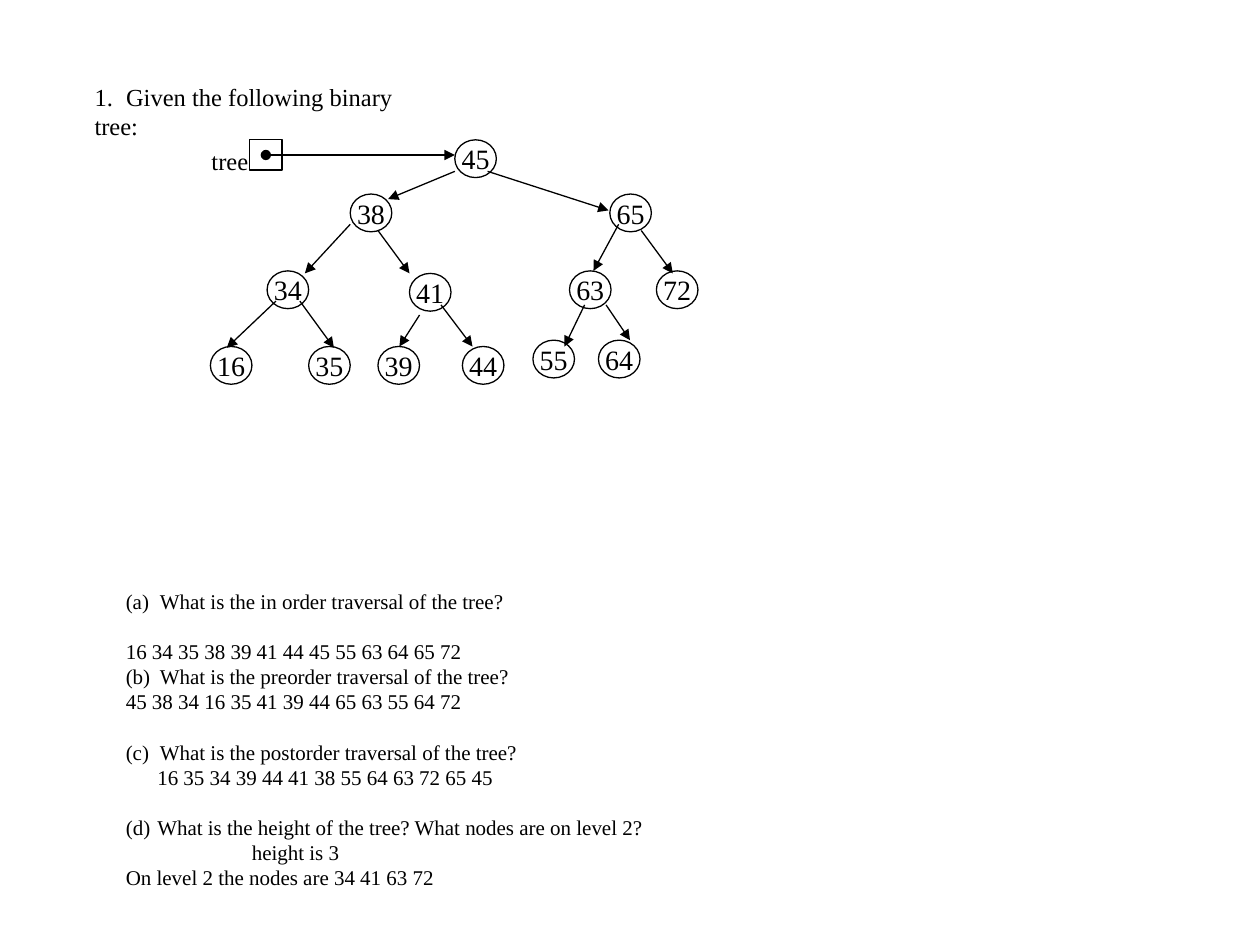
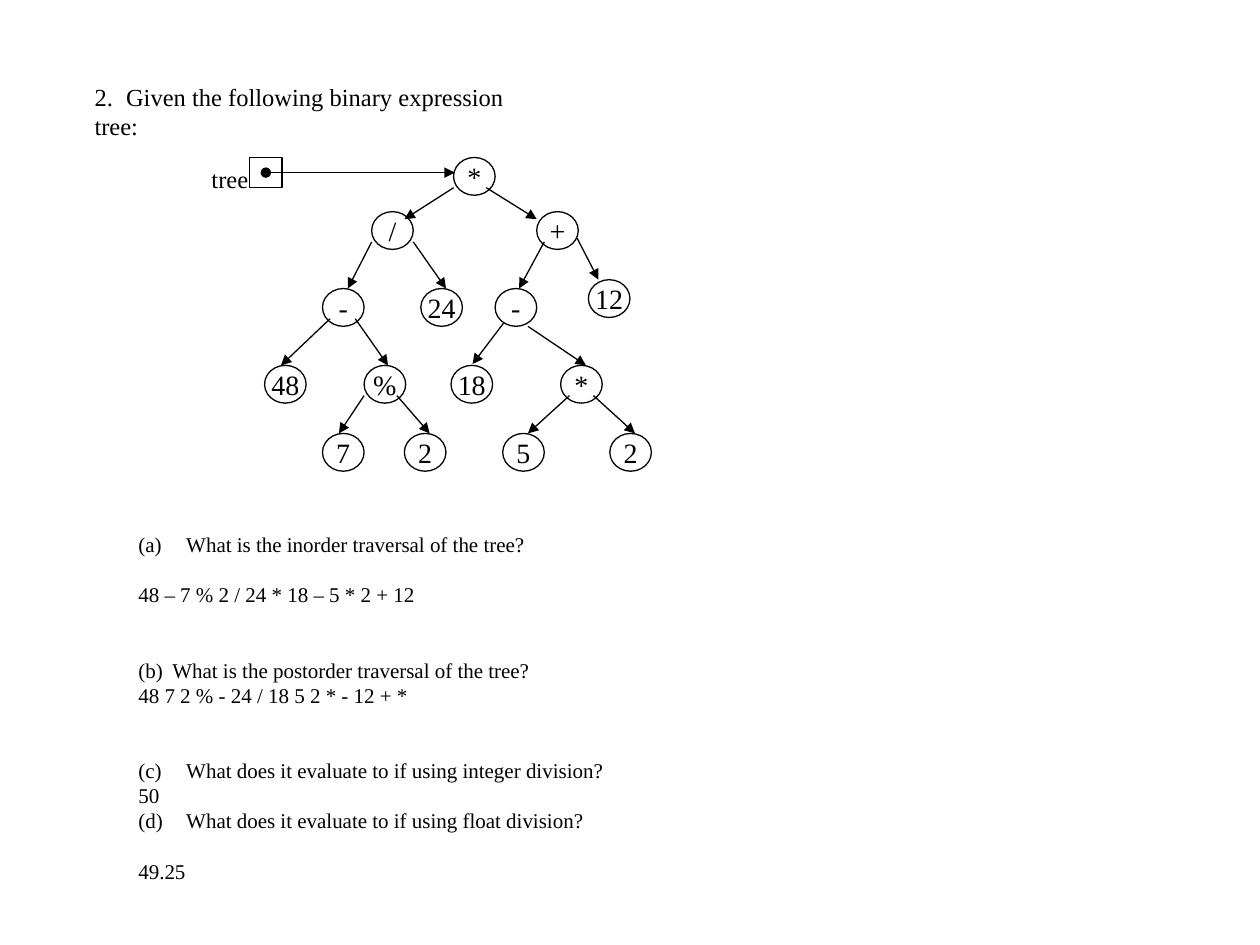
"""Build two review slides that ask questions about binary trees."""
from lxml.etree import SubElement
from pptx import Presentation
from pptx.dml.color import RGBColor
from pptx.enum.shapes import MSO_CONNECTOR, MSO_SHAPE
from pptx.enum.text import MSO_ANCHOR, MSO_AUTO_SIZE, PP_ALIGN
from pptx.oxml.ns import qn
from pptx.util import Inches, Pt

BLACK = RGBColor(0x00, 0x00, 0x00)
FONT = "Times New Roman"
TITLE_SIZE, BODY_SIZE, NODE_SIZE = 14, 12, 16
BLANK_LINE = 14.3
NODE_WIDTH, NODE_HEIGHT = 0.33, 0.3


class TreeDeck:
    """Hold the shared style and the slide being drawn."""

    def __init__(self):
        self.deck = Presentation()
        self.deck.slide_width = Inches(10)
        self.deck.slide_height = Inches(7.5)
        self.slide = None

    def place(self, shape, left, top, width, height):
        values = {"left": left, "top": top, "width": width, "height": height}
        for name, value in values.items():
            setattr(shape, name, Inches(value))

    def format_frame(self, frame, **values):
        for name, value in values.items():
            setattr(frame, name, value)

    def add_text(self, para, text, size, align=PP_ALIGN.LEFT):
        para.alignment = align
        span = para.add_run()
        span.text = text
        values = {"name": FONT, "size": Pt(size), "bold": False}
        for name, value in values.items():
            setattr(span.font, name, value)
        span.font.color.rgb = BLACK

    def add_tab(self, para, position):
        tabs = SubElement(para._p.get_or_add_pPr(), qn("a:tabLst"))
        SubElement(tabs, qn("a:tab"), pos=str(Inches(position)), algn="l")

    def set_indent(self, para, margin, hanging=0):
        properties = para._p.get_or_add_pPr()
        properties.set("marL", str(Inches(margin)))
        properties.set("indent", str(-Inches(hanging)))
        return properties

    def add_page(self, title, width):
        self.slide = self.deck.slides.add_slide(self.deck.slide_layouts[5])
        box = self.slide.shapes.title
        self.place(box, 0.65, 0.6, width, 0.33)
        self.format_frame(box.text_frame, word_wrap=True, vertical_anchor=MSO_ANCHOR.TOP,
                          auto_size=MSO_AUTO_SIZE.SHAPE_TO_FIT_TEXT)
        para = box.text_frame.paragraphs[0]
        self.add_text(para, title, TITLE_SIZE)
        self.add_tab(para, 0.25)

    def add_text_box(self, left, top, width, height, wrap):
        box = self.slide.shapes.add_textbox(
            Inches(left), Inches(top), Inches(width), Inches(height))
        self.format_frame(box.text_frame, word_wrap=wrap,
                          auto_size=MSO_AUTO_SIZE.SHAPE_TO_FIT_TEXT)
        return box.text_frame

    def add_questions(self, left, top, width, height, lines):
        frame = self.add_text_box(left, top, width, height, True)
        for index, (text, layout) in enumerate(lines):
            para = frame.add_paragraph() if index else frame.paragraphs[0]
            self.add_text(para, text, BODY_SIZE)
            para.space_before = Pt(BLANK_LINE * layout.get("blank", 0))
            if "number" in layout:
                hanging = layout["hanging"]
                properties = self.set_indent(para, hanging, hanging)
                SubElement(properties, qn("a:buFont"), typeface=FONT)
                SubElement(properties, qn("a:buAutoNum"), type="alphaLcParenBoth",
                           startAt=str(layout["number"]))
            elif "margin" in layout:
                self.set_indent(para, layout["margin"])
            elif "\t" in text:
                self.add_tab(para, 0.27)

    def add_outline(self, kind, left, top, width, height):
        shape = self.slide.shapes.add_shape(
            kind, Inches(left), Inches(top), Inches(width), Inches(height))
        shape.shadow.inherit = False
        shape.fill.background()
        shape.line.color.rgb = BLACK
        shape.line.width = Pt(0.75)
        return shape

    def add_node(self, label, left, top):
        node = self.add_outline(MSO_SHAPE.OVAL, left, top, NODE_WIDTH, NODE_HEIGHT)
        self.format_frame(node.text_frame, word_wrap=False,
                          vertical_anchor=MSO_ANCHOR.MIDDLE)
        self.add_text(node.text_frame.paragraphs[0], label, NODE_SIZE, PP_ALIGN.CENTER)

    def add_arrow(self, start_x, start_y, end_x, end_y, head=None):
        arrow = self.slide.shapes.add_connector(
            MSO_CONNECTOR.STRAIGHT, Inches(start_x), Inches(start_y),
            Inches(end_x), Inches(end_y))
        arrow.line.color.rgb = BLACK
        arrow.line.width = Pt(0.75)
        line = arrow.get_or_add_ln()
        if head:
            SubElement(line, qn("a:headEnd"), type=head)
        SubElement(line, qn("a:tailEnd"), type="triangle")
        SubElement(arrow._element.spPr, qn("a:effectLst"))

    def add_tree(self, top, levels, arrows):
        for level_top, nodes in levels:
            for label, left in nodes:
                self.add_node(label, left, level_top)
        for arrow in arrows:
            self.add_arrow(*arrow)
        self.add_outline(MSO_SHAPE.RECTANGLE, 1.98, top, 0.26, 0.24)
        frame = self.add_text_box(1.58, top, 0.49, 0.33, False)
        self.add_text(frame.paragraphs[0], "tree", TITLE_SIZE)
        self.add_arrow(2.11, top + 0.12, 3.61, top + 0.12, "oval")


SEARCH_LEVELS = [
    (1.11, [("45", 3.61)]),
    (1.54, [("38", 2.78), ("65", 4.84)]),
    (2.15, [("34", 2.12), ("63", 4.52), ("72", 5.21)]),
    (2.17, [("41", 3.25)]),
    (2.7, [("55", 4.23), ("64", 4.75)]),
    (2.75, [("16", 1.67), ("35", 2.45), ("39", 3), ("44", 3.67)]),
]
SEARCH_ARROWS = [
    (3.61, 1.36, 3.08, 1.58), (3.87, 1.36, 4.83, 1.67),
    (2.78, 1.78, 2.42, 2.17), (3, 1.83, 3.25, 2.17),
    (4.91, 1.78, 4.71, 2.15), (5.09, 1.83, 5.34, 2.17),
    (2.19, 2.39, 1.8, 2.76), (2.38, 2.39, 2.65, 2.76),
    (3.33, 2.5, 3.17, 2.75), (3.5, 2.42, 3.75, 2.75),
    (4.64, 2.42, 4.48, 2.75), (4.81, 2.42, 5, 2.7),
]
SEARCH_QUESTIONS = [
    ("(a)\tWhat is the in order traversal of the tree?", {}),
    ("16 34 35 38 39 41 44 45 55 63 64 65 72", {"blank": 1}),
    ("(b)\tWhat is the preorder traversal of the tree?", {}),
    ("45 38 34 16 35 41 39 44 65 63 55 64 72", {}),
    ("(c)\tWhat is the postorder traversal of the tree?", {"blank": 1}),
    ("16 35 34 39 44 41 38 55 64 63 72 65 45", {"margin": 0.25}),
    ("What is the height of the tree? What nodes are on level 2?",
     {"number": 4, "hanging": 0.25, "blank": 1}),
    ("height is 3", {"margin": 1}),
    ("On level 2 the nodes are 34 41 63 72", {}),
]
EXPRESSION_LEVELS = [
    (1.25, [("*", 3.6)]),
    (1.68, [("/", 2.95), ("+", 4.26)]),
    (2.22, [("12", 4.67)]),
    (2.29, [("-", 2.56), ("24", 3.34), ("-", 3.93)]),
    (2.9, [("48", 2.1), ("%", 2.89), ("18", 3.58), ("*", 4.45)]),
    (3.44, [("7", 2.56), ("2", 3.21), ("5", 3.99), ("2", 4.84)]),
]
EXPRESSION_ARROWS = [
    (3.6, 1.49, 3.21, 1.74), (3.86, 1.49, 4.26, 1.74),
    (2.95, 1.92, 2.76, 2.29), (3.28, 1.92, 3.54, 2.29),
    (4.32, 1.92, 4.12, 2.29), (4.58, 1.89, 4.75, 2.22),
    (2.62, 2.53, 2.23, 2.9), (2.82, 2.53, 3.08, 2.9),
    (4, 2.56, 3.75, 2.89), (4.19, 2.59, 4.65, 2.9),
    (2.89, 3.14, 2.69, 3.44), (3.15, 3.14, 3.41, 3.44),
    (4.52, 3.14, 4.19, 3.44), (4.71, 3.14, 5.04, 3.44),
]
EXPRESSION_QUESTIONS = [
    ("What is the inorder traversal of the tree?", {"number": 1, "hanging": 0.38}),
    ("48 – 7 % 2 / 24 * 18 – 5 * 2 + 12", {"blank": 1}),
    ("(b)\tWhat is the postorder traversal of the tree?", {"blank": 2}),
    ("48 7 2 % - 24 / 18 5 2 * - 12 + *", {}),
    ("What does it evaluate to if using integer division?",
     {"number": 3, "hanging": 0.38, "blank": 2}),
    ("50", {}),
    ("What does it evaluate to if using float division?",
     {"number": 4, "hanging": 0.38}),
    ("49.25", {"blank": 1}),
]

review = TreeDeck()
review.add_page("1.\tGiven the following binary tree:", 2.9)
review.add_questions(0.9, 4.62, 4.45, 2.52, SEARCH_QUESTIONS)
review.add_tree(1.11, SEARCH_LEVELS, SEARCH_ARROWS)

review.add_page("2.\tGiven the following binary expression tree:", 3.78)
review.add_questions(1, 4.17, 3.94, 3.13, EXPRESSION_QUESTIONS)
review.add_tree(1.25, EXPRESSION_LEVELS, EXPRESSION_ARROWS)
review.deck.save("out.pptx")
